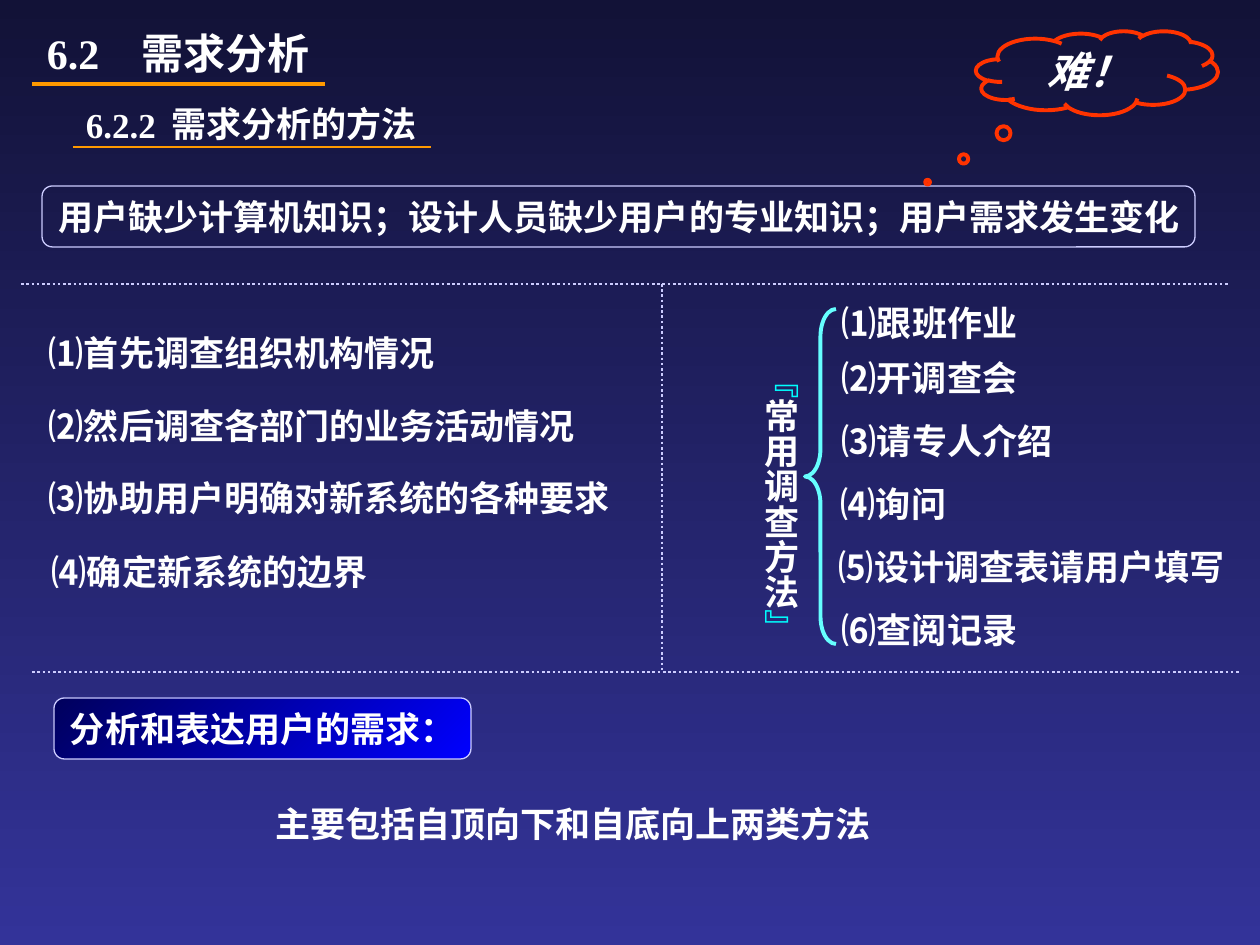
from dataclasses import dataclass

from lxml.etree import SubElement
from pptx import Presentation
from pptx.dml.color import RGBColor
from pptx.enum.dml import MSO_LINE as Dash
from pptx.enum.shapes import MSO_CONNECTOR as Link, MSO_SHAPE as Preset
from pptx.enum.text import MSO_ANCHOR as Anchor, MSO_AUTO_SIZE as Fit, PP_ALIGN as Align
from pptx.oxml.ns import qn
from pptx.util import Pt

PX = 914400 // 126  # EMU in one px
LATIN, SANS, CJK = "Times New Roman", "Arial", "Noto Sans CJK SC"
COLORS = {
    "night": "121237", "indigo": "333399", "white": "FFFFFF", "orange": "FF9900",
    "lavender": "CCCCFF", "red": "FF3300", "navy": "00005C", "blue": "0000FF",
    "aqua": "66FFFF", "cyan": "00FFFF",
}


@dataclass(frozen=True)
class Item:
    text: str
    left: int
    top: int
    width: int


@dataclass(frozen=True)
class Rule:
    x1: int
    y1: int
    x2: int
    y2: int
    color: str
    weight: float
    dotted: bool = False


@dataclass(frozen=True)
class Span:
    text: str
    font: str = LATIN
    color: str = "white"


def rgb(name: str) -> RGBColor:
    return RGBColor.from_string(COLORS[name])


def emu(*lengths: int) -> list[int]:
    return [length * PX for length in lengths]


def blend(fill, start: str, end: str, angle: int) -> None:
    fill.gradient()
    fill.gradient_angle = angle
    for stop, position, name in zip(fill.gradient_stops, (0, 1), (start, end)):
        stop.position = position
        stop.color.rgb = rgb(name)


def write(frame, *spans: Span, size: int = 20, align=Align.LEFT, anchor=Anchor.TOP,
          wrap: bool = True, italic: bool = False,
          insets: tuple = (13, 6, 13, 6), tab: int = 0) -> None:
    frame.word_wrap = wrap
    frame.auto_size = Fit.NONE
    frame.vertical_anchor = anchor
    (frame.margin_left, frame.margin_top,
     frame.margin_right, frame.margin_bottom) = emu(*insets)
    para = frame.paragraphs[0]
    para.alignment = align
    if tab:
        stops = SubElement(para._p.get_or_add_pPr(), qn("a:tabLst"))
        SubElement(stops, qn("a:tab"), pos=str(tab * PX), algn="l")
    for span in spans:
        run = para.add_run()
        run.text = span.text
        font = run.font
        font.size, font.bold, font.italic = Pt(size), True, italic
        font.name = span.font
        font.color.rgb = rgb(span.color)
        SubElement(run._r.get_or_add_rPr(), qn("a:ea"), typeface=CJK)


def add_text(page, left: int, top: int, width: int, height: int, *spans: Span, **style):
    box = page.shapes.add_textbox(*emu(left, top, width, height))
    write(box.text_frame, *spans, **style)
    return box


def add_item(page, item: Item) -> None:
    add_text(page, item.left, item.top, item.width, 55, Span(item.text),
             insets=(12, 7, 0, 6))


def add_outline(page, preset, left: int, top: int, width: int, height: int,
                color: str, weight: float, adjust: tuple):
    shape = page.shapes.add_shape(preset, *emu(left, top, width, height))
    shape.shadow.inherit = False
    shape.fill.background()
    shape.line.color.rgb = rgb(color)
    shape.line.width = Pt(weight)
    for index, value in enumerate(adjust):
        shape.adjustments[index] = value
    return shape


def add_rule(page, rule: Rule) -> None:
    line = page.shapes.add_connector(Link.STRAIGHT, *emu(rule.x1, rule.y1, rule.x2, rule.y2))
    line.line.color.rgb = rgb(rule.color)
    line.line.width = Pt(rule.weight)
    if rule.dotted:
        line.line.dash_style = Dash.ROUND_DOT
    SubElement(line._element.spPr, qn("a:effectLst"))


METHODS = ["⑵开调查会", "⑶请专人介绍", "⑷询问", "⑸设计调查表请用户填写", "⑹查阅记录"]
METHOD_PLACES = [(830, 200), (830, 236), (829, 131), (827, 411), (830, 200)]
ITEMS = [
    Item("⑴首先调查组织机构情况", 37, 325, 467),
    Item("⑵然后调查各部门的业务活动情况", 37, 397, 593),
    Item("⑶协助用户明确对新系统的各种要求", 37, 470, 646),
    Item("⑷确定新系统的边界", 40, 544, 368),
    Item("主要包括自顶向下和自底向上两类方法", 263, 796, 662),
    Item("⑴跟班作业", 830, 294, 209),
] + [
    Item(text, left, 350 + 63 * row, width)
    for row, (text, (left, width)) in enumerate(zip(METHODS, METHOD_PLACES))
]
RULES = [
    Rule(32, 84, 325, 84, "orange", 2.25),
    Rule(73, 147, 431, 147, "orange", 1),
    Rule(662, 284, 662, 672, "lavender", 1.5, dotted=True),
    Rule(32, 672, 1239, 672, "lavender", 1.5, dotted=True),
    Rule(21, 284, 1229, 284, "lavender", 1.5, dotted=True),
]


def main() -> None:
    deck = Presentation()
    deck.slide_width, deck.slide_height = emu(1260, 945)
    page = deck.slides.add_slide(deck.slide_layouts[5])
    blend(page.background.fill, "night", "indigo", 270)

    # Headings
    title = page.shapes.title
    title.left, title.top, title.width, title.height = emu(126, 87, 336, 73)
    write(title.text_frame, Span("需求分析的方法"), align=Align.CENTER, anchor=Anchor.MIDDLE)
    add_text(page, 63, 104, 116, 42, Span("6.2.2"), align=Align.CENTER, anchor=Anchor.MIDDLE)
    add_text(page, 21, 21, 315, 63, Span("6.2\t"), Span("需求分析", CJK), size=24,
             anchor=Anchor.MIDDLE, insets=(26, 6, 0, 6), tab=95)

    # Framed statements
    problem = add_outline(page, Preset.ROUNDED_RECTANGLE, 42, 186, 1153, 61,
                          "lavender", 0.75, (0.17,))
    write(problem.text_frame, Span("用户缺少计算机知识；设计人员缺少用户的专业知识；用户需求发生变化"),
          insets=(13, 7, 0, 6))
    badge = add_outline(page, Preset.ROUNDED_RECTANGLE, 54, 698, 417, 61,
                        "lavender", 0.75, (0.17,))
    blend(badge.fill, "navy", "blue", 315)
    write(badge.text_frame, Span("分析和表达用户的需求："), insets=(13, 6, 0, 6))

    # Thought cloud
    cloud = add_outline(page, Preset.CLOUD_CALLOUT, 976, 31, 242, 84,
                        "red", 2.25, (-0.7, 1.3))
    write(cloud.text_frame, Span("难！"), size=24, italic=True, wrap=False,
          align=Align.CENTER, anchor=Anchor.MIDDLE)

    # Steps, survey methods and the closing line
    for item in ITEMS:
        add_item(page, item)

    # Brace with its vertical label
    add_outline(page, Preset.LEFT_BRACE, 805, 309, 31, 335, "aqua", 2.25, (0.89, 0.5))
    label = add_text(page, 741, 351, 67, 336, Span("『", SANS, "cyan"),
                     Span("常用调查方法"), Span("』", SANS, "cyan"),
                     insets=(6, 13, 6, 13))
    label.text_frame._txBody.bodyPr.set("vert", "eaVert")

    # Underlines and dividers
    for rule in RULES:
        add_rule(page, rule)

    deck.save("out.pptx")


if __name__ == "__main__":
    main()
